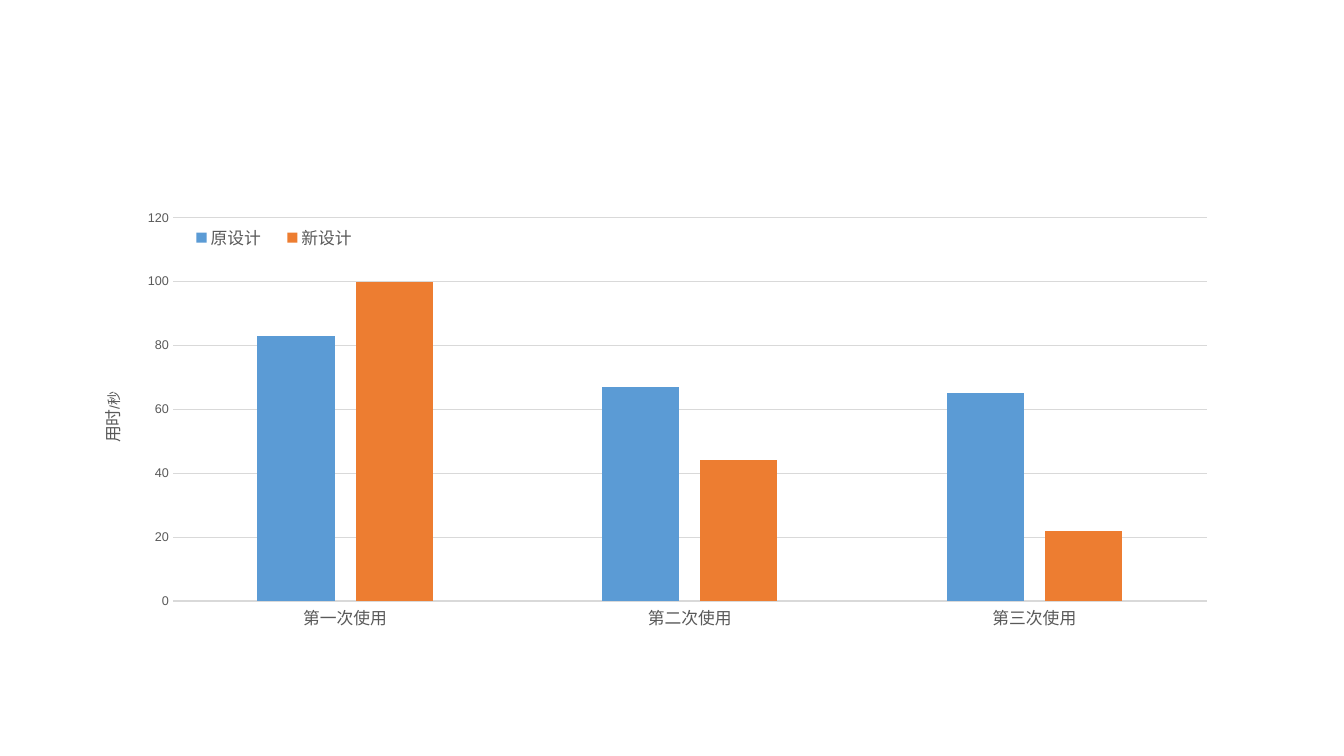
from lxml.etree import SubElement
from pptx import Presentation
from pptx.chart.data import CategoryChartData as ChartData
from pptx.dml.color import RGBColor
from pptx.enum.chart import XL_CHART_TYPE as ChartType
from pptx.enum.chart import XL_LEGEND_POSITION as LegendPosition
from pptx.enum.chart import XL_TICK_MARK as TickMark
from pptx.oxml.ns import qn
from pptx.util import Pt

FONT = "Arial"
TEXT_GREY, LINE_GREY = "595959", "D9D9D9"
USES = ["第一次使用", "第二次使用", "第三次使用"]
DESIGNS = [("原设计", [83, 67, 65], "5B9BD5"),
           ("新设计", [100, 44, 22], "ED7D31")]


def rgb(hex_colour):
    """Turn a hex string into a colour."""
    return RGBColor.from_string(hex_colour)


def apply(target, formats):
    """Set every attribute named in the dict of formats."""
    for attribute, value in formats.items():
        setattr(target, attribute, value)


def style_font(font, size):
    """Give chart text its font, size and grey colour."""
    apply(font, {"name": FONT, "size": Pt(size), "bold": False})
    font.color.rgb = rgb(TEXT_GREY)


def style_line(line):
    """Draw a thin light grey line."""
    line.color.rgb = rgb(LINE_GREY)
    line.width = Pt(0.75)


def place(part, index, inner=False, **fractions):
    """Fix a chart part at fractions of the chart's box."""
    for old_layout in part.findall(qn("c:layout")):
        part.remove(old_layout)
    layout = SubElement(part, qn("c:layout"))
    part.insert(index, layout)
    manual = SubElement(layout, qn("c:manualLayout"))
    settings = {"layoutTarget": "inner"} if inner else {}
    settings.update(xMode="edge", yMode="edge", **fractions)
    for tag, value in settings.items():
        SubElement(manual, qn(f"c:{tag}")).set("val", str(value))


def format_use_axis(axis):
    """Format the axis of successive uses."""
    apply(axis, {"major_tick_mark": TickMark.NONE,
                 "minor_tick_mark": TickMark.NONE,
                 "has_major_gridlines": False})
    style_font(axis.tick_labels.font, 12)
    style_line(axis.format.line)


def format_time_axis(axis):
    """Format the axis of seconds, with its upright title."""
    apply(axis, {"major_tick_mark": TickMark.NONE,
                 "minor_tick_mark": TickMark.NONE,
                 "minimum_scale": 0, "maximum_scale": 120, "major_unit": 20,
                 "has_major_gridlines": True, "has_title": True})
    style_font(axis.tick_labels.font, 9)
    axis.format.line.fill.background()
    style_line(axis.major_gridlines.format.line)
    title = axis.axis_title
    heading = title.text_frame.paragraphs[0]
    for wording, size in (("用时", 12), ("/秒", 10)):
        run = heading.add_run()
        run.text = wording
        style_font(run.font, size)
    body = title._element.find(".//" + qn("a:bodyPr"))
    body.set("rot", "-5400000")
    body.set("vert", "horz")
    place(title._element, 1, x=0.02, y=0.39)


def add_time_chart(slide, left, top, width, height):
    """Compare the time taken with both designs inside the given box."""
    times = ChartData()
    times.categories = USES
    for name, seconds, _ in DESIGNS:
        times.add_series(name, seconds)
    chart = slide.shapes.add_chart(
        ChartType.COLUMN_CLUSTERED,
        Pt(left), Pt(top), Pt(width), Pt(height), times).chart
    apply(chart, {"has_title": False, "has_legend": True})
    style_font(chart.font, 10)

    columns = chart.plots[0]
    apply(columns, {"gap_width": 219, "overlap": -27,
                    "vary_by_categories": False})
    for series, (_, _, colour) in zip(columns.series, DESIGNS):
        series.format.fill.solid()
        series.format.fill.fore_color.rgb = rgb(colour)
    format_use_axis(chart.category_axis)
    format_time_axis(chart.value_axis)

    legend = chart.legend
    apply(legend, {"position": LegendPosition.BOTTOM,
                   "include_in_layout": False})
    style_font(legend.font, 12)
    place(legend._element, 1, x=0.09, y=0.04, w=0.17, h=0.07)
    plot_area = chart._chartSpace.find(".//" + qn("c:plotArea"))
    place(plot_area, 0, inner=True, x=0.0875, y=0.034, w=0.892, h=0.798)


def main():
    """Build and save the slide."""
    deck = Presentation()
    apply(deck, {"slide_width": Pt(960), "slide_height": Pt(540)})
    slide = deck.slides.add_slide(deck.slide_layouts[6])
    add_time_chart(slide, 51, 144, 828, 343)
    deck.save("out.pptx")


main()
